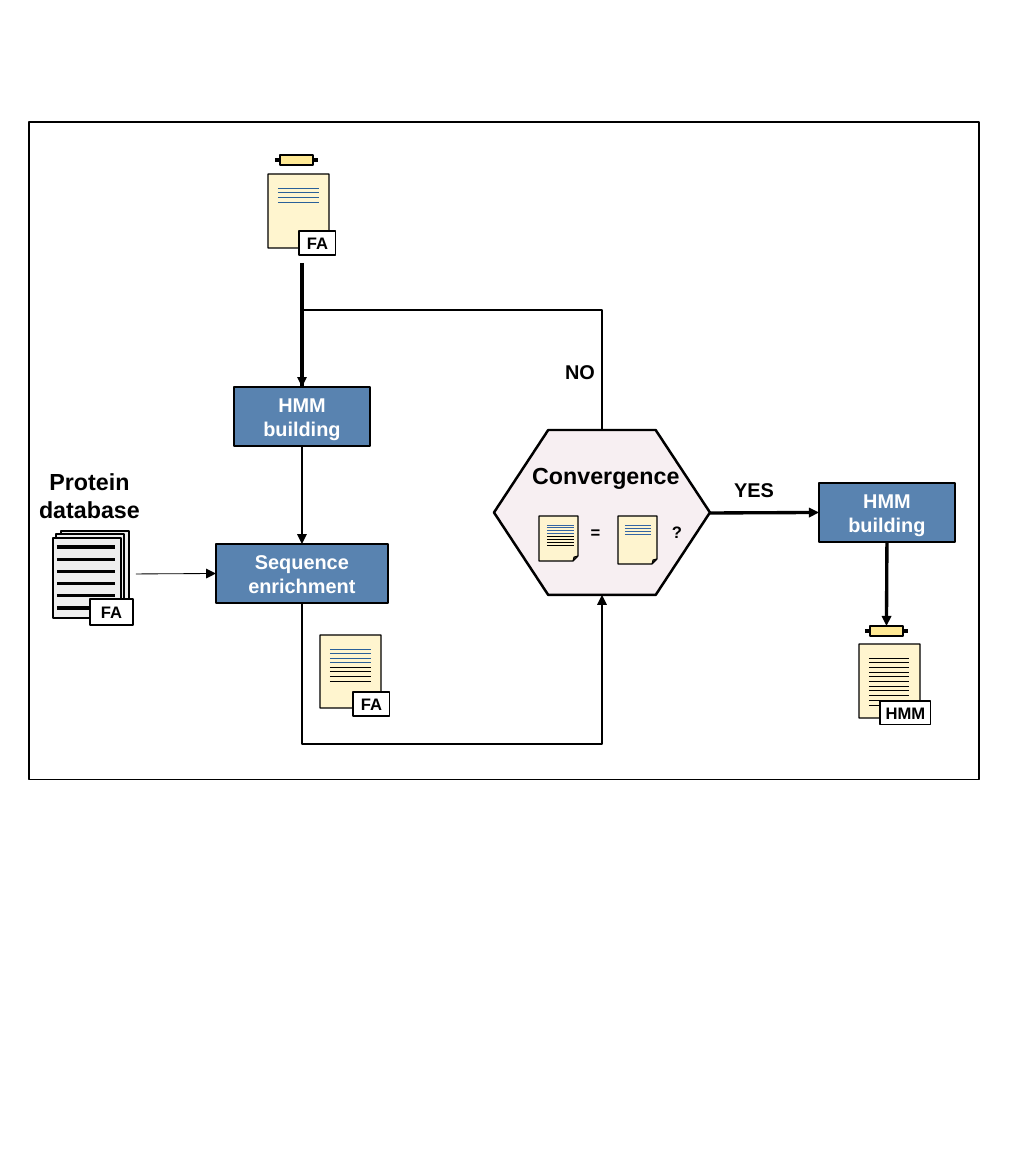
"""Draw the flow of iterative HMM building from a seed alignment."""
from lxml.etree import SubElement
from pptx import Presentation
from pptx.dml.color import RGBColor
from pptx.enum.shapes import MSO_CONNECTOR as Link, MSO_SHAPE as Preset
from pptx.enum.text import MSO_ANCHOR as Anchor, PP_ALIGN as Align
from pptx.oxml.ns import qn
from pptx.util import Pt

SCALE = 7652
BLACK, WHITE = "000000", "FFFFFF"
BLUE, GREY, PINK = "5983B0", "EEEEEE", "E0C2CD"
CREAM, YELLOW = "FFF5CE", "FFE994"
SEED_BLUE, SMALL_BLUE = "2A6099", "3465A4"


def px(length):
    """Turn pixels into EMU."""
    return round(length * SCALE)


def colour(code):
    """Turn a hex string into a colour."""
    return RGBColor.from_string(code)


def write(shape, lines, size, code=BLACK, insets=(12, 6), wrap=True):
    """Put centred bold lines into a shape, one paragraph each."""
    frame = shape.text_frame
    frame.word_wrap = wrap
    frame.margin_left = frame.margin_right = px(insets[0])
    frame.margin_top = frame.margin_bottom = px(insets[1])
    frame.text = "\n".join(lines)
    for para in frame.paragraphs:
        para.alignment = Align.CENTER
        para.font.name = "Arial"
        para.font.size = Pt(size)
        para.font.bold = True
        para.font.color.rgb = colour(code)


def label(page, place, lines, size):
    """Add a plain text box."""
    box = page.shapes.add_textbox(*map(px, place))
    write(box, lines, size)
    box.text_frame.vertical_anchor = Anchor.TOP


def guide(shape, name, value):
    """Set an adjustment of a preset outline."""
    guides = shape._element.spPr.find(qn("a:prstGeom")).find(qn("a:avLst"))
    SubElement(guides, qn("a:gd"), name=name, fmla=f"val {round(value * 100000)}")


def block(page, preset, place, fill=None, width=0, alpha=None):
    """Add an outlined shape, filled if a colour is given."""
    shape = page.shapes.add_shape(preset, *map(px, place))
    shape.shadow.inherit = False
    shape.line.color.rgb = colour(BLACK)
    shape.line.width = Pt(width)
    if fill is None:
        shape.fill.background()
        return shape
    shape.fill.solid()
    shape.fill.fore_color.rgb = colour(fill)
    if alpha is not None:
        tint = shape.fill._xPr.find(qn("a:solidFill"))[0]
        SubElement(tint, qn("a:alpha"), val=str(alpha * 1000))
    return shape


def step(page, place, text):
    """Add a blue process box."""
    box = block(page, Preset.RECTANGLE, place, BLUE, 1.5)
    write(box, [text], 12, WHITE, insets=(13, 7))
    return box


def tag(page, place, text):
    """Add a white file format tag."""
    box = block(page, Preset.RECTANGLE, place, WHITE)
    write(box, [text], 10, wrap=False)


def style(link, width, code, arrow):
    """Set the stroke of a connector and drop its shadow."""
    link.line.color.rgb = colour(code)
    link.line.width = Pt(width)
    if arrow:
        SubElement(link.line._get_or_add_ln(), qn("a:tailEnd"), type="triangle")
    SubElement(link._element.spPr, qn("a:effectLst"))


def line(page, start, end, width=0, code=BLACK, arrow=False):
    """Add a straight connector."""
    link = page.shapes.add_connector(Link.STRAIGHT, *map(px, (*start, *end)))
    style(link, width, code, arrow)
    return link


def loop(page, start, end, turn):
    """Add an upward elbow arrow whose level stretch lies at height turn."""
    (x0, y0), (x1, y1) = start, end
    width, height = y0 - y1, abs(x1 - x0)
    left, top = (x0 + x1 - width) / 2, (y0 + y1 - height) / 2
    corners = (left, top, left + width, top + height)
    link = page.shapes.add_connector(Link.ELBOW, *map(px, corners))
    rightward = x1 > x0
    frame = link._element.spPr.find(qn("a:xfrm"))
    frame.set("rot", str((90 if rightward else 270) * 60000))
    frame.set("flipH", str(int(rightward)))
    frame.set("flipV", "1")
    guide(link, "adj1", (turn - y0) / (y1 - y0))
    style(link, 1.5, BLACK, True)


def rows(page, left, right, top, bottom, codes, width=0.5):
    """Rule evenly spaced lines, one for each colour."""
    pitch = (bottom - top) / (len(codes) - 1)
    for index, code in enumerate(codes):
        height = top + index * pitch
        line(page, (left, height), (right, height), width, code)


def note(page, place, ruling, codes):
    """Add a cream sheet with ruled lines."""
    sheet = block(page, Preset.FOLDED_CORNER, place, CREAM, alpha=97)
    guide(sheet, "adj", 0.125)
    rows(page, *ruling, codes)


def clip(page, left, top):
    """Add the yellow clip above a sheet."""
    line(page, (left - 5, top + 5), (left + 38, top + 5))
    return block(page, Preset.RECTANGLE, (left, top, 33, 10), YELLOW)


def database(page):
    """Add the stack of protein sheets with its title."""
    label(page, (19, 461, 141, 65), ["Protein", "database"], 14)
    for left, top in ((61, 531), (56, 534), (53, 538)):
        block(page, Preset.RECTANGLE, (left, top, 68, 80), GREY, 1)
    rows(page, 57, 115, 547, 608, [BLACK] * 6, 0)
    tag(page, (90, 599, 43, 26), "FA")


def convergence(page):
    """Add the decision hexagon that compares two sheets."""
    hexagon = block(page, Preset.HEXAGON, (494, 430, 216, 165), PINK, 1.5, 25)
    hexagon.adjustments[0] = 0.329
    label(page, (508, 455, 196, 43), ["Convergence"], 14)
    note(page, (539, 516, 39, 45), (547, 574, 525, 545),
         [SMALL_BLUE] * 4 + [BLACK] * 4)
    note(page, (618, 516, 39, 48), (625, 651, 525, 534), [SMALL_BLUE] * 4)
    label(page, (572, 516, 47, 49), ["="], 10)
    label(page, (650, 516, 54, 49), ["?"], 10)
    label(page, (547, 354, 66, 35), ["NO"], 12)
    label(page, (709, 472, 90, 35), ["YES"], 12)


def main():
    """Build the slide and save it."""
    deck = Presentation()
    deck.slide_width, deck.slide_height = px(1035), px(1176)
    page = deck.slides.add_slide(deck.slide_layouts[6])
    block(page, Preset.RECTANGLE, (29, 122, 950, 658))

    building = step(page, (234, 387, 136, 59), "HMM building")
    enrichment = step(page, (216, 544, 172, 59), "Sequence enrichment")
    final = step(page, (819, 483, 136, 59), "HMM building")
    convergence(page)
    database(page)

    clip(page, 280, 155)
    note(page, (268, 174, 61, 74), (278, 319, 188, 202), [SEED_BLUE] * 4)
    tag(page, (299, 231, 37, 24), "FA")
    note(page, (320, 635, 61, 73), (330, 371, 649, 681),
         [SEED_BLUE] * 4 + [BLACK] * 4)
    tag(page, (353, 692, 37, 24), "FA")
    result = clip(page, 870, 626)
    note(page, (859, 644, 61, 74), (869, 909, 658, 705), [BLACK] * 11)
    tag(page, (880, 701, 51, 24), "HMM")

    loop(page, (302, 603), (602, 595), 744)
    loop(page, (602, 430), (302, 387), 310)
    line(page, (302, 263), (302, 387)).end_connect(building, 0)
    down = line(page, (302, 446), (302, 544), 1.5, arrow=True)
    down.begin_connect(building, 2)
    down.end_connect(enrichment, 0)
    line(page, (136, 574), (216, 574), 0.5, arrow=True).end_connect(enrichment, 1)
    line(page, (710, 513), (819, 513), arrow=True).end_connect(final, 1)
    output = line(page, (887, 542), (887, 626), arrow=True)
    output.begin_connect(final, 2)
    output.end_connect(result, 0)
    deck.save("out.pptx")


if __name__ == "__main__":
    main()
